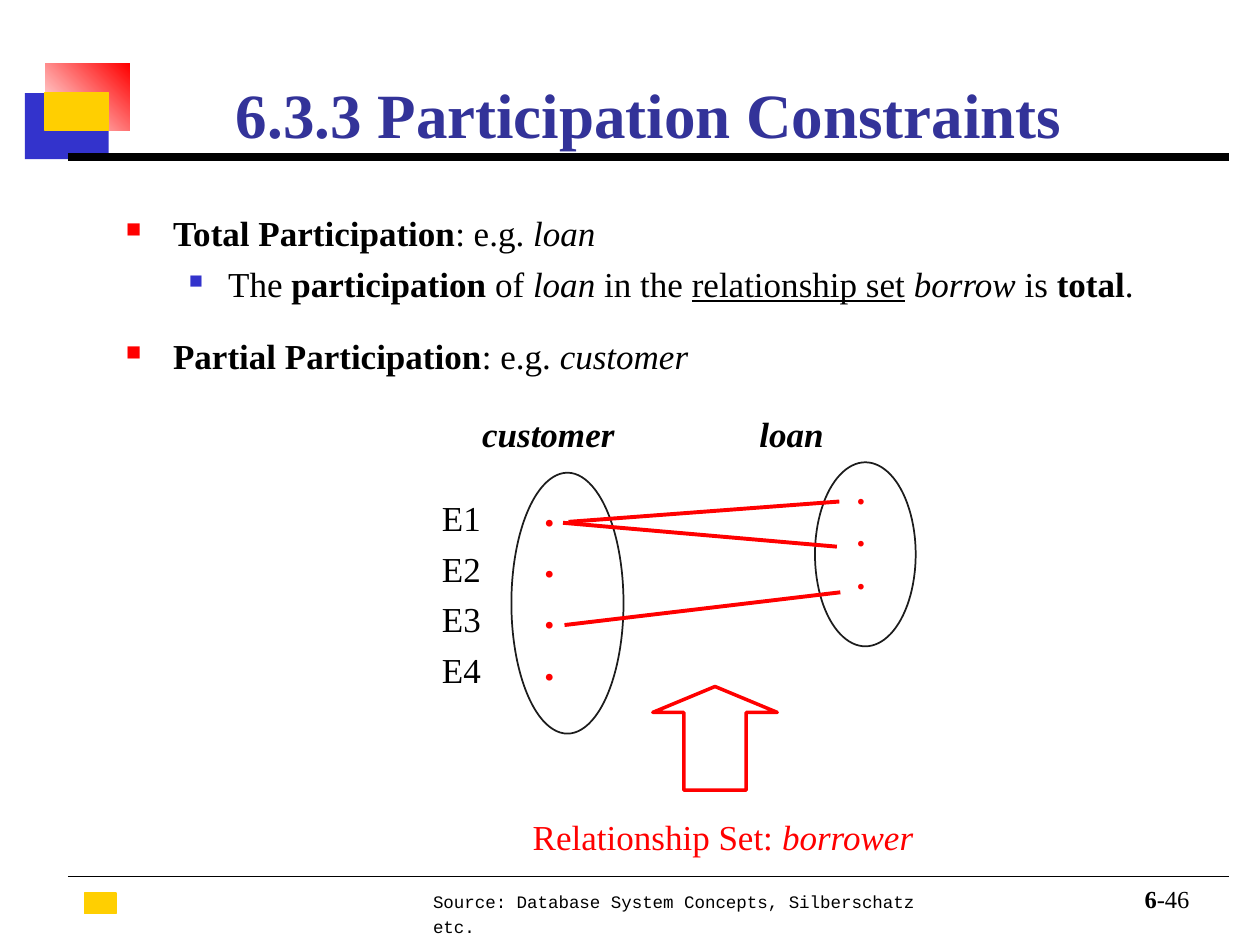
from dataclasses import dataclass

from lxml import etree
from pptx import Presentation
from pptx.dml.color import RGBColor
from pptx.enum.shapes import MSO_CONNECTOR, MSO_SHAPE
from pptx.enum.text import MSO_ANCHOR, PP_ALIGN
from pptx.oxml.ns import qn
from pptx.util import Cm, Pt

RECTANGLE, OVAL, UP_ARROW = MSO_SHAPE.RECTANGLE, MSO_SHAPE.OVAL, MSO_SHAPE.UP_ARROW
STRAIGHT = MSO_CONNECTOR.STRAIGHT
TOP, BOTTOM = MSO_ANCHOR.TOP, MSO_ANCHOR.BOTTOM
LEFT, CENTER, RIGHT = PP_ALIGN.LEFT, PP_ALIGN.CENTER, PP_ALIGN.RIGHT


@dataclass(frozen=True)
class Theme:
    serif: str = "Times New Roman"
    mono: str = "Courier New"
    black: str = "000000"
    white: str = "FFFFFF"
    red: str = "FF0000"
    blue: str = "3333CC"
    yellow: str = "FFCF01"
    heading: str = "333399"
    outline: str = "1C1C1C"
    title_size: int = 36
    large_dot_size: int = 24
    text_size: int = 20
    number_size: int = 14
    source_size: int = 10


@dataclass(frozen=True)
class Bullet:
    color: str
    percent: int
    margin: float
    hanging: float


class SlideBuilder:
    def __init__(self, page, theme):
        self.page = page
        self.theme = theme

    def shape(self, kind, frame, fill=None, line=None, width=1):
        shape = self.page.shapes.add_shape(kind, *map(Cm, frame))
        shape.shadow.inherit = False
        if fill:
            shape.fill.solid()
            shape.fill.fore_color.rgb = RGBColor.from_string(fill)
        else:
            shape.fill.background()
        if line:
            shape.line.color.rgb = RGBColor.from_string(line)
            shape.line.width = Pt(width)
        else:
            shape.line.fill.background()
        return shape

    def gradient(self, frame, colors, angle):
        fill = self.shape(RECTANGLE, frame).fill
        fill.gradient()
        fill.gradient_angle = angle
        for stop, color, position in zip(fill.gradient_stops, colors, (0, 1)):
            stop.color.rgb = RGBColor.from_string(color)
            stop.position = position

    def line(self, start, end, color, width):
        line = self.page.shapes.add_connector(STRAIGHT, *map(Cm, start + end))
        line.line.color.rgb = RGBColor.from_string(color)
        line.line.width = Pt(width)
        etree.SubElement(line._element.spPr, qn("a:effectLst"))

    def box(self, frame, anchor=TOP, wrap=True):
        text_frame = self.page.shapes.add_textbox(*map(Cm, frame)).text_frame
        text_frame.word_wrap = wrap
        text_frame.vertical_anchor = anchor
        return text_frame

    def para(self, box, spans, size=None, color=None, font=None, bold=None,
             italic=None, align=LEFT, spacing=1.0, before=0, bullet=None):
        first = not box.paragraphs[0].runs
        para = box.paragraphs[0] if first else box.add_paragraph()
        para.alignment = align
        para.line_spacing = spacing
        if before and not first:
            para.space_before = Pt(before)
        if bullet:
            self.bullet(para, bullet)
        para.font.size = Pt(size or self.theme.text_size)
        para.font.name = font or self.theme.serif
        para.font.color.rgb = RGBColor.from_string(color or self.theme.black)
        para.font.bold = bold
        para.font.italic = italic
        for text, style in spans:
            span = para.add_run()
            span.text = text
            if "b" in style:
                span.font.bold = True
            if "i" in style:
                span.font.italic = True
            if "u" in style:
                span.font.underline = True

    def bullet(self, para, bullet):
        props = para._p.get_or_add_pPr()
        props.set("marL", str(Cm(bullet.margin)))
        props.set("indent", str(-Cm(bullet.hanging)))
        color = etree.SubElement(props, qn("a:buClr"))
        etree.SubElement(color, qn("a:srgbClr"), val=bullet.color)
        etree.SubElement(props, qn("a:buSzPct"), val=str(bullet.percent * 1000))
        etree.SubElement(props, qn("a:buChar"), char="■")

    def text(self, frame, spans, anchor=TOP, wrap=True, **style):
        self.para(self.box(frame, anchor, wrap), spans, **style)

    def dots(self, frame, count, size):
        box = self.box(frame)
        for _ in range(count):
            self.para(box, [(".", "")], size, self.theme.red, bold=True,
                      spacing=0.5, before=0.62 * size)


def add_frame(builder, theme):
    builder.text((8.48, 17.75, 11.05, 0.76),
                 [("Source: Database System Concepts, Silberschatz etc.", "")],
                 size=theme.source_size, font=theme.mono, spacing=1.2)
    builder.shape(RECTANGLE, (0.5, 1.88, 1.69, 1.33), theme.blue)
    builder.gradient((0.91, 1.29, 1.71, 1.35), (theme.white, theme.red), 45)
    for frame in ((0.91, 1.87, 1.28, 0.76), (1.7, 18, 0.64, 0.42)):
        builder.shape(RECTANGLE, frame, theme.yellow, theme.yellow, 0.75)
    for left, right, top, width in ((1.91, 24.33, 3.17, 4.5),
                                    (1.37, 24.77, 3.17, 4.5),
                                    (1.37, 24.77, 17.66, 0.5)):
        builder.line((left, top), (right, top), theme.black, width)
    builder.text((22.12, 17.7, 2.11, 0.84), [("6", "b"), ("-46", "")],
                 anchor=BOTTOM, size=theme.number_size, align=RIGHT)
    builder.text((2.97, 1.27, 20.22, 1.9), [("6.3.3 Participation Constraints", "")],
                 anchor=BOTTOM, size=theme.title_size, color=theme.heading,
                 bold=True, align=CENTER)


def add_body(builder, theme):
    main = dict(spacing=1.4, before=7.5, bullet=Bullet(theme.red, 60, 0.95, 0.95))
    detail = dict(spacing=1.1, before=2.5, bullet=Bullet(theme.blue, 55, 2.06, 0.79))
    body = builder.box((2.29, 3.81, 20.85, 11.43))
    builder.para(body, [("Total Participation", "b"), (": e.g. ", ""), ("loan", "i")], **main)
    builder.para(body, [("The ", ""), ("participation ", "b"), ("of ", ""), ("loan", "i"),
                        (" in the ", ""), ("relationship set", "u"), (" ", ""),
                        ("borrow", "i"), (" is ", ""), ("total", "b"), (".", "")], **detail)
    builder.para(body, [("Partial Participation", "b"), (": e.g. ", ""),
                        ("customer", "i")], **main)


def add_diagram(builder, theme):
    builder.dots((10.72, 10.08, 0.94, 3.81), 4, theme.large_dot_size)
    for frame in ((10.31, 9.53, 2.26, 5.26), (16.43, 9.32, 2.03, 3.71)):
        builder.shape(OVAL, frame, line=theme.outline)
    for name, left in (("customer", 9.47), ("loan", 15.06)):
        builder.text((left, 8.2, 5.21, 1.09), [(name, "")], bold=True, italic=True)
    for start, end in (((11.46, 10.52), (16.92, 10.11)),
                       ((11.35, 10.54), (16.87, 11.02)),
                       ((11.38, 12.6), (16.94, 11.94))):
        builder.line(start, end, theme.red, 2.25)
    entities = builder.box((8.66, 9.8, 3.89, 4.24))
    for number in range(1, 5):
        builder.para(entities, [(f"E{number}", "")], spacing=1.1, before=2.5)
    builder.dots((17.02, 9.7, 0.94, 2.79), 3, theme.text_size)
    arrow = builder.shape(UP_ARROW, (13.16, 13.84, 2.51, 2.09), line=theme.red, width=2)
    arrow.adjustments[0] = 0.5
    arrow.adjustments[1] = 0.25
    builder.text((10.49, 16.31, 8.2, 1.12),
                 [("Relationship Set:", ""), (" borrower", "i")],
                 wrap=False, color=theme.red)


def main():
    theme = Theme()
    deck = Presentation()
    deck.slide_width, deck.slide_height = Cm(25.4), Cm(19.05)
    builder = SlideBuilder(deck.slides.add_slide(deck.slide_layouts[6]), theme)
    add_frame(builder, theme)
    add_body(builder, theme)
    add_diagram(builder, theme)
    deck.save("out.pptx")


if __name__ == "__main__":
    main()
